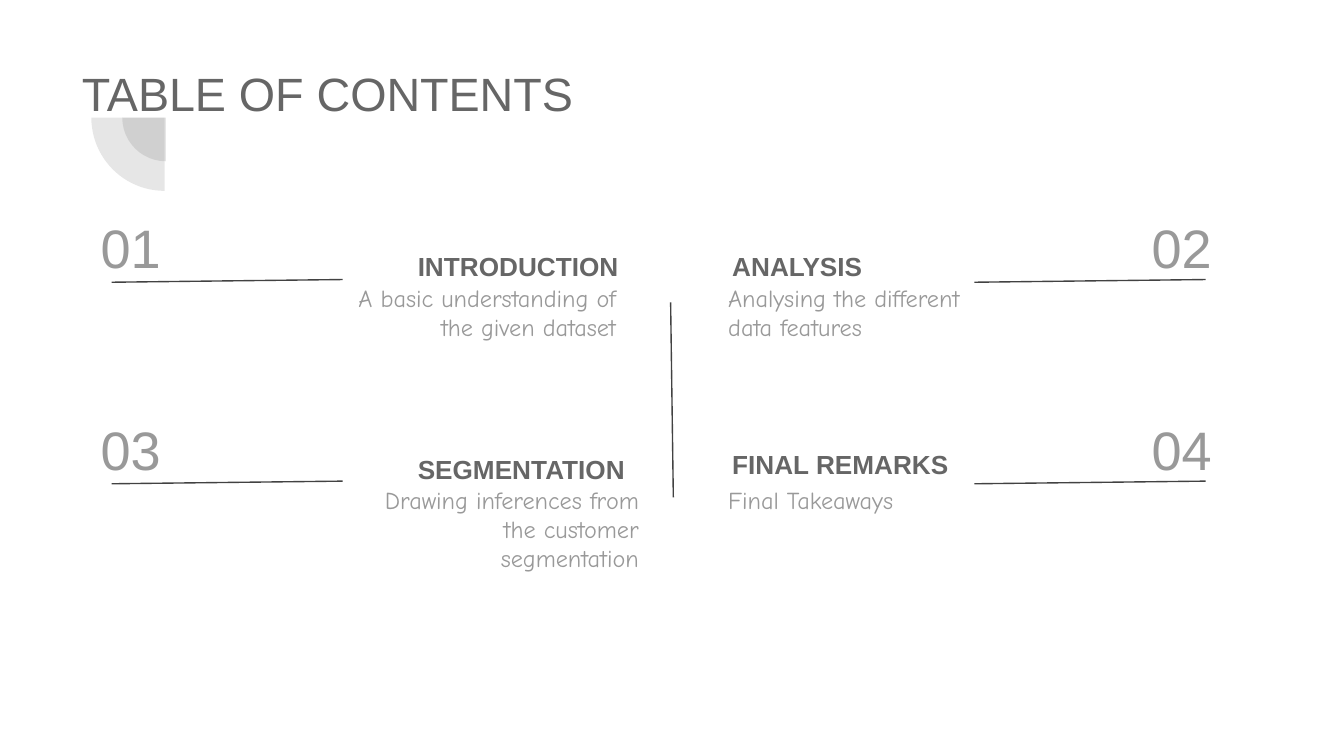
from lxml import etree
from pptx import Presentation
from pptx.dml.color import RGBColor
from pptx.enum.shapes import MSO_CONNECTOR as Connector, MSO_SHAPE as Shape
from pptx.enum.text import MSO_ANCHOR as Anchor, MSO_AUTO_SIZE as AutoSize, PP_ALIGN as Align
from pptx.oxml.ns import qn
from pptx.util import Inches, Pt


def color(value):
    return RGBColor.from_string(value)


class ContentsPage:
    DARK = "424242"
    INSET = Inches(0.1)
    TITLE = {"size": Pt(25), "name": "Arial", "bold": False, "color": "666666"}
    NUMBER = {"size": Pt(29), "name": "Arial", "color": "999999"}
    HEADING = {"size": Pt(14), "name": "Arial", "bold": True, "color": "666666"}
    DETAIL = {"size": Pt(13), "name": "Comic Neue", "color": "999999"}

    def __init__(self, deck):
        self.page = deck.slides.add_slide(deck.slide_layouts[5])

    def fill_box(self, box, lines, style, align, anchor, auto_size):
        frame = box.text_frame
        settings = {"word_wrap": True, "auto_size": auto_size, "vertical_anchor": anchor}
        settings.update({f"margin_{side}": self.INSET
                         for side in ("left", "top", "right", "bottom")})
        for name, value in settings.items():
            setattr(frame, name, value)
        for index, line in enumerate(lines):
            para = frame.add_paragraph() if index else frame.paragraphs[0]
            para.alignment = align
            span = para.add_run()
            span.text = line
            for name, value in style.items():
                if name == "color":
                    span.font.color.rgb = color(value)
                else:
                    setattr(span.font, name, value)

    def title(self, text, left, top, width, height):
        box = self.page.shapes.title
        place = {"left": left, "top": top, "width": width, "height": height}
        for name, value in place.items():
            setattr(box, name, Inches(value))
        self.fill_box(box, [text], self.TITLE, Align.LEFT, Anchor.BOTTOM, AutoSize.NONE)

    def text(self, lines, style, left, top, width, height, align=Align.LEFT,
             anchor=Anchor.TOP, auto_size=AutoSize.SHAPE_TO_FIT_TEXT):
        box = self.page.shapes.add_textbox(*map(Inches, (left, top, width, height)))
        self.fill_box(box, lines, style, align, anchor, auto_size)

    def number(self, text, left, top):
        self.text([text], self.NUMBER, left, top, 0.81, 0.63,
                  anchor=Anchor.BOTTOM, auto_size=AutoSize.NONE)

    def line(self, x1, y1, x2, y2):
        line = self.page.shapes.add_connector(
            Connector.STRAIGHT, *map(Inches, (x1, y1, x2, y2)))
        line.line.color.rgb = color(self.DARK)
        line.line.width = Pt(0.75)
        etree.SubElement(line._element.spPr, qn("a:effectLst"))

    def quarter(self, left, top, size):
        pie = self.page.shapes.add_shape(Shape.PIE, *map(Inches, (left, top, size, size)))
        pie.adjustments[0], pie.adjustments[1] = 108, 162  # 180 to 270 degrees
        pie.rotation = 270
        pie.shadow.inherit = False
        pie.line.fill.background()
        pie.fill.solid()
        pie.fill.fore_color.rgb = color(self.DARK)
        tint = pie._element.spPr.find(f".//{qn('a:srgbClr')}")
        etree.SubElement(tint, qn("a:alpha")).set("val", "13000")


def main():
    deck = Presentation()
    deck.slide_width = Inches(10)
    deck.slide_height = deck.slide_width * 9 // 16
    page = ContentsPage(deck)

    # Title and its corner ornament
    page.quarter(0.91, 0.55, 0.65)
    page.quarter(0.68, 0.33, 1.09)
    page.title("TABLE OF CONTENTS", 0.51, 0.37, 5, 0.63)

    # Numbers and rules: two columns, two rows
    for row in range(2):
        top = 1.55 + 1.5 * row
        for column, (number_left, rule_left) in enumerate([(0.65, 0.83), (8.47, 7.25)]):
            page.number(f"{2 * row + column + 1:02}", number_left, top)
            page.line(rule_left, top + 0.55, rule_left + 1.72, top + 0.53)

    # Divider between the columns
    page.line(4.99, 2.25, 5.01, 3.7)

    # Headings
    for heading, left, top, width in [
        ("INTRODUCTION", 3.01, 1.76, 2.42),
        ("ANALYSIS", 5.35, 1.76, 1.56),
        ("SEGMENTATION", 3.01, 3.27, 2.42),
        ("FINAL REMARKS", 5.35, 3.24, 2.1),
    ]:
        page.text([heading], page.HEADING, left, top, width, 0.44)

    # Descriptions
    for lines, left, top, width, height, align in [
        (["A basic understanding of the given dataset"], 2.55, 2.01, 2.13, 0.64, Align.RIGHT),
        (["Analysing the different", "data features"], 5.32, 2.01, 2.27, 0.64, Align.LEFT),
        (["Drawing inferences from the customer segmentation"],
         2.72, 3.51, 2.13, 0.86, Align.RIGHT),
        (["Final Takeaways"], 5.32, 3.51, 2.13, 0.42, Align.LEFT),
    ]:
        page.text(lines, page.DETAIL, left, top, width, height, align)

    deck.save("out.pptx")


if __name__ == "__main__":
    main()
